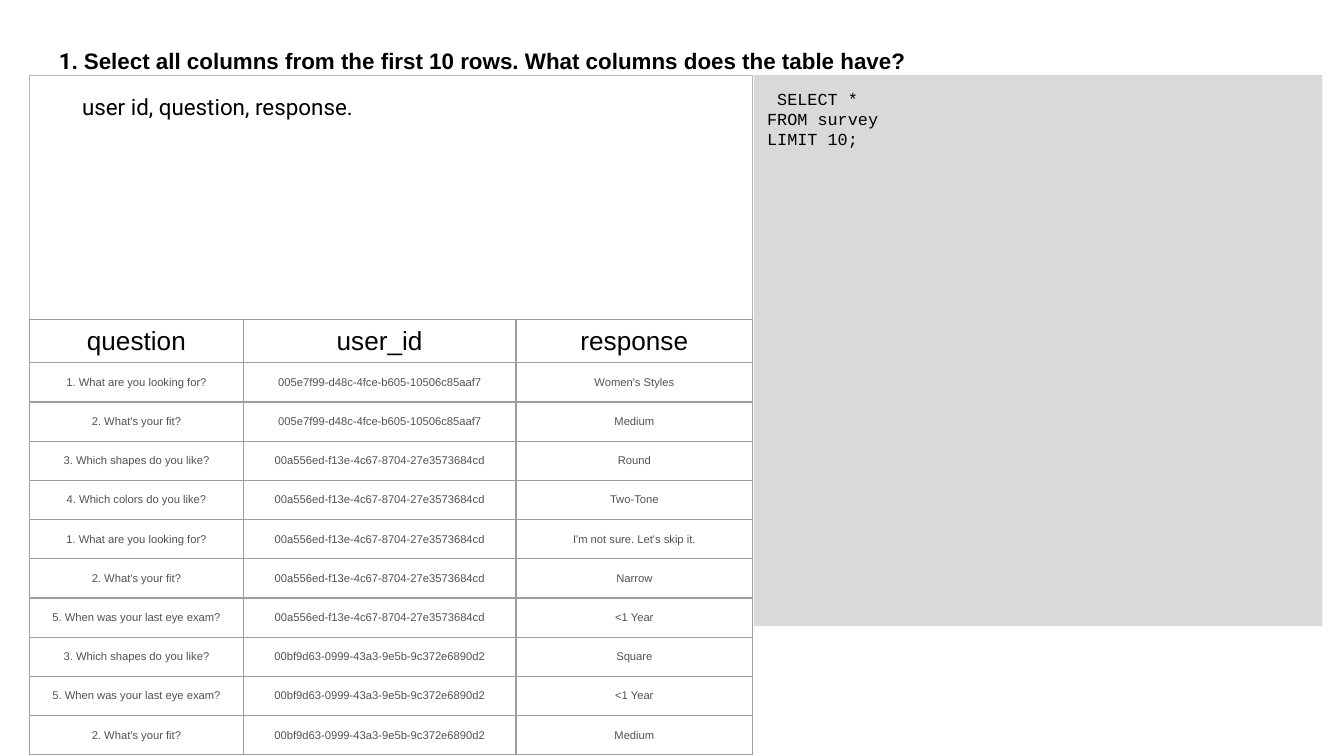
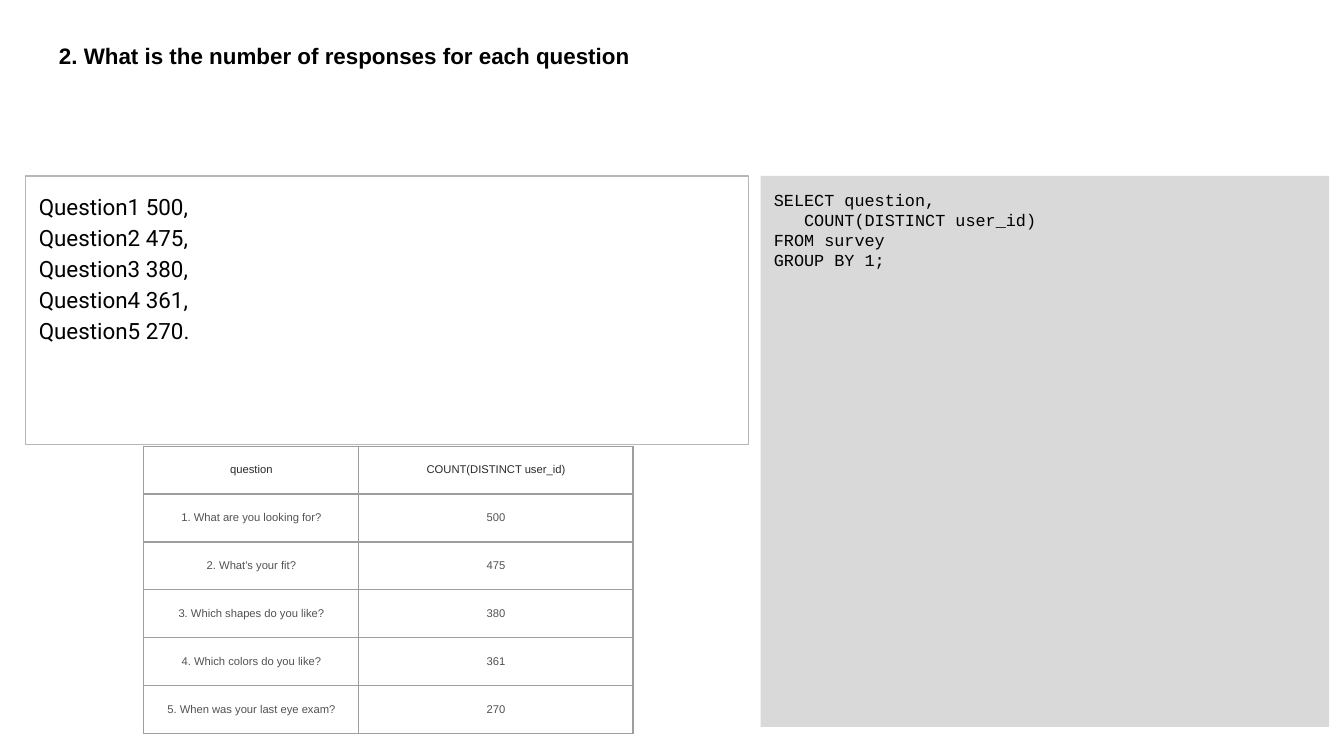
import dataclasses

import lxml.etree
import pptx
import pptx.dml.color
import pptx.enum.shapes
import pptx.enum.text
import pptx.oxml.ns
import pptx.util

Inches = pptx.util.Inches
Pt = pptx.util.Pt


@dataclasses.dataclass(frozen=True)
class Theme:
    text: str = "000000"
    table_head: str = "292929"
    table_body: str = "525252"
    code_fill: str = "D9D9D9"
    answer_line: str = "B7B7B7"
    grid_line: str = "9E9E9E"
    main_font: str = "Arial"
    answer_font: str = "Roboto"
    code_font: str = "Courier New"
    title_size: float = 12
    answer_size: float = 12
    code_size: float = 9
    large_head_size: float = 14
    cell_size: float = 6
    line_width: float = 0.75
    inset: float = 0.1
    cell_inset: float = 0.03


THEME = Theme()

QUESTIONS = [
    "1. What are you looking for?",
    "2. What's your fit?",
    "3. Which shapes do you like?",
    "4. Which colors do you like?",
    "5. When was your last eye exam?",
]
USERS = [
    "005e7f99-d48c-4fce-b605-10506c85aaf7",
    "00a556ed-f13e-4c67-8704-27e3573684cd",
    "00bf9d63-0999-43a3-9e5b-9c372e6890d2",
]
SURVEY_ANSWERS = [
    (1, 0, "Women's Styles"),
    (2, 0, "Medium"),
    (3, 1, "Round"),
    (4, 1, "Two-Tone"),
    (1, 1, "I'm not sure. Let's skip it."),
    (2, 1, "Narrow"),
    (5, 1, "<1 Year"),
    (3, 2, "Square"),
    (5, 2, "<1 Year"),
    (2, 2, "Medium"),
]
RESPONSE_COUNTS = [500, 475, 380, 361, 270]


def color(value):
    return pptx.dml.color.RGBColor.from_string(value)


def style_run(run, font_name, size, font_color, bold=False):
    run.font.name = font_name
    run.font.size = Pt(size)
    run.font.color.rgb = color(font_color)
    run.font.bold = bold


def set_insets(text_frame):
    text_frame.word_wrap = True
    text_frame.margin_left = text_frame.margin_right = Inches(THEME.inset)
    text_frame.margin_top = text_frame.margin_bottom = Inches(THEME.inset)


def add_title(slide, box, text_parts, bottom_inset=THEME.inset):
    shape = slide.shapes.add_textbox(*map(Inches, box))
    text_frame = shape.text_frame
    set_insets(text_frame)
    text_frame.margin_top = 0
    text_frame.margin_bottom = Inches(bottom_inset)
    text_frame.vertical_anchor = pptx.enum.text.MSO_ANCHOR.BOTTOM
    paragraph = text_frame.paragraphs[0]
    for text, font_name in text_parts:
        run = paragraph.add_run()
        run.text = text
        style_run(run, font_name, THEME.title_size, THEME.text, bold=True)


def add_panel(slide, box, lines, font_name, size, line_spacing=None):
    shape = slide.shapes.add_shape(pptx.enum.shapes.MSO_SHAPE.RECTANGLE, *map(Inches, box))
    shape.shadow.inherit = False
    text_frame = shape.text_frame
    set_insets(text_frame)
    text_frame.vertical_anchor = pptx.enum.text.MSO_ANCHOR.TOP
    text_frame.text = "\n".join(lines)
    for paragraph in text_frame.paragraphs:
        paragraph.alignment = pptx.enum.text.PP_ALIGN.LEFT
        paragraph.line_spacing = line_spacing
        for run in paragraph.runs:
            style_run(run, font_name, size, THEME.text)
    return shape


def add_code_panel(slide, box, lines):
    shape = add_panel(slide, box, lines, THEME.code_font, THEME.code_size)
    shape.fill.solid()
    shape.fill.fore_color.rgb = color(THEME.code_fill)
    shape.line.fill.background()


def add_answer_panel(slide, box, lines, indent=0):
    shape = add_panel(slide, box, lines, THEME.answer_font, THEME.answer_size, 1.15)
    shape.text_frame.margin_left = Inches(THEME.inset + indent)
    shape.fill.background()
    shape.line.color.rgb = color(THEME.answer_line)
    shape.line.width = Pt(THEME.line_width)


def add_cell_borders(cell):
    qn = pptx.oxml.ns.qn
    properties = cell._tc.get_or_add_tcPr()
    for side in ("a:lnL", "a:lnR", "a:lnT", "a:lnB"):
        border = lxml.etree.SubElement(properties, qn(side), w=str(Pt(THEME.line_width)))
        fill = lxml.etree.SubElement(border, qn("a:solidFill"))
        lxml.etree.SubElement(fill, qn("a:srgbClr"), val=THEME.grid_line)


def fill_cell(cell, text, size, font_color):
    add_cell_borders(cell)
    cell.fill.background()
    cell.margin_top = cell.margin_bottom = Inches(THEME.cell_inset)
    cell.vertical_anchor = pptx.enum.text.MSO_ANCHOR.MIDDLE
    cell.text_frame.text = str(text)
    paragraph = cell.text_frame.paragraphs[0]
    paragraph.alignment = pptx.enum.text.PP_ALIGN.CENTER
    style_run(paragraph.runs[0], THEME.main_font, size, font_color)


def add_result_table(slide, box, column_widths, rows, head_height, head_size, head_color):
    height = box[3]
    frame = slide.shapes.add_table(len(rows), len(column_widths), *map(Inches, box))
    table = frame.table
    table.first_row = False
    table.horz_banding = False
    for column, width in zip(table.columns, column_widths):
        column.width = Inches(width)
    body_height = (height - head_height) / (len(rows) - 1)
    for row_index, values in enumerate(rows):
        is_head = row_index == 0
        table.rows[row_index].height = Inches(head_height if is_head else body_height)
        size = head_size if is_head else THEME.cell_size
        font_color = head_color if is_head else THEME.table_body
        for column_index, value in enumerate(values):
            fill_cell(table.cell(row_index, column_index), value, size, font_color)


def build_columns_slide(slide):
    title = "Select all columns from the first 10 rows. What columns does the table have?"
    add_title(
        slide, (0.34, 0.32, 9.32, 0.48),
        [("1. ", THEME.answer_font), (title, THEME.main_font)], bottom_inset=0.3,
    )
    add_code_panel(slide, (5.61, 0.56, 4.23, 4.1), [" SELECT *", "FROM survey", "LIMIT 10;"])
    add_answer_panel(
        slide, (0.22, 0.56, 5.38, 1.82), ["user id, question, response."], indent=0.29
    )
    rows = [("question", "user_id", "response")]
    rows += [
        (QUESTIONS[number - 1], USERS[user], response)
        for number, user, response in SURVEY_ANSWERS
    ]
    add_result_table(
        slide, (0.22, 2.38, 5.38, 3.24), (1.59, 2.03, 1.76), rows,
        head_height=0.32, head_size=THEME.large_head_size, head_color=THEME.text,
    )


def build_counts_slide(slide):
    title = "2. What is the number of responses for each question"
    add_title(slide, (0.34, 0.32, 9.32, 0.29), [(title, THEME.main_font)])
    add_code_panel(
        slide, (5.66, 1.31, 4.23, 4.1),
        ["SELECT question,", "   COUNT(DISTINCT user_id)", "FROM survey", "GROUP BY 1;"],
    )
    last = len(RESPONSE_COUNTS)
    answers = [
        f"Question{number} {count}{'.' if number == last else ','}"
        for number, count in enumerate(RESPONSE_COUNTS, 1)
    ]
    add_answer_panel(slide, (0.19, 1.31, 5.38, 2), answers)
    rows = [("question", "COUNT(DISTINCT user_id)"), *zip(QUESTIONS, RESPONSE_COUNTS)]
    height = 2.14
    add_result_table(
        slide, (1.07, 3.32, 3.64, height), (1.6, 2.04), rows,
        head_height=height / len(rows), head_size=THEME.cell_size, head_color=THEME.table_head,
    )


def main():
    presentation = pptx.Presentation()
    presentation.slide_width = Inches(10)
    presentation.slide_height = Inches(10 * 9 / 16)
    blank_layout = presentation.slide_layouts[6]
    for build_slide in (build_columns_slide, build_counts_slide):
        build_slide(presentation.slides.add_slide(blank_layout))
    presentation.save("out.pptx")


if __name__ == "__main__":
    main()
